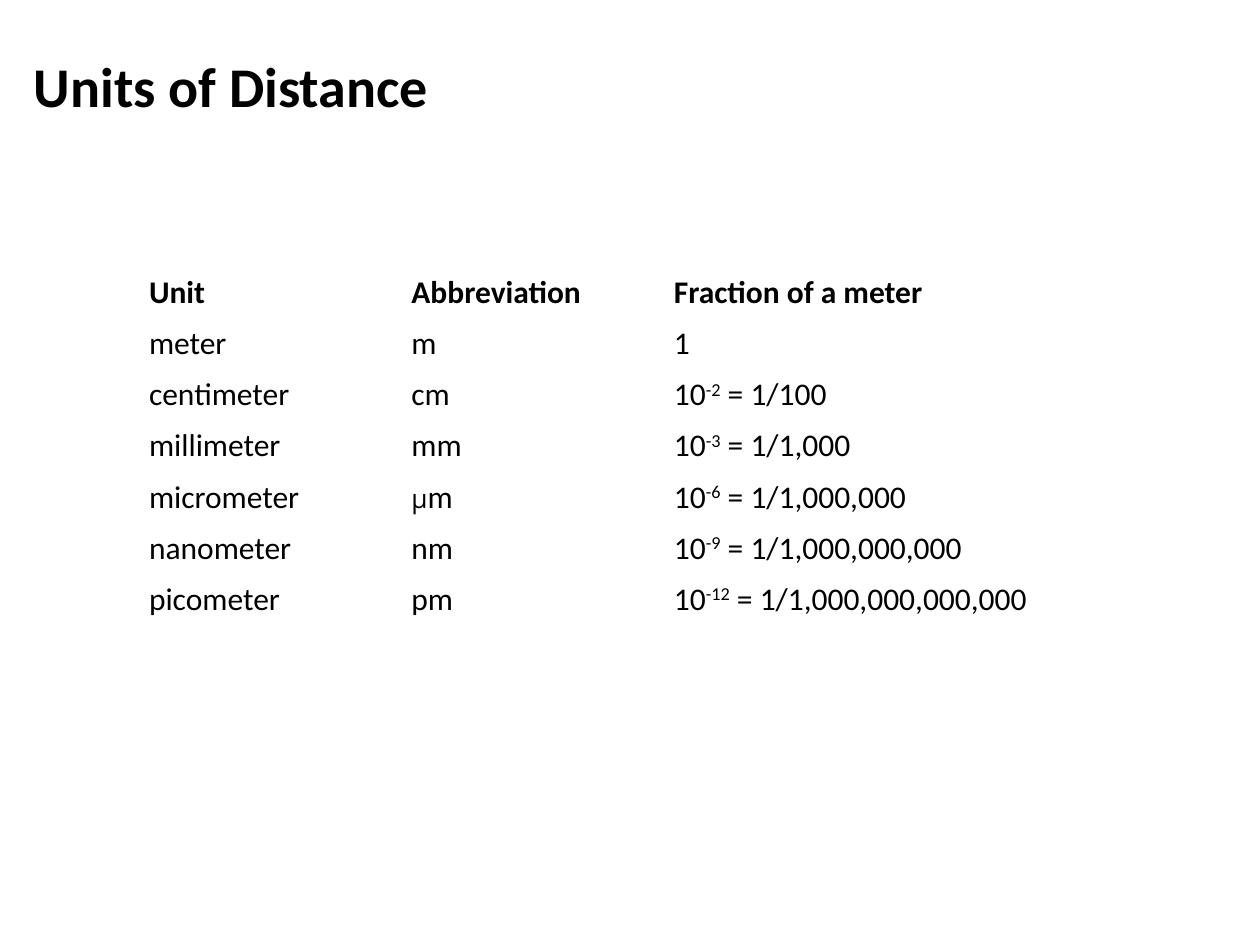
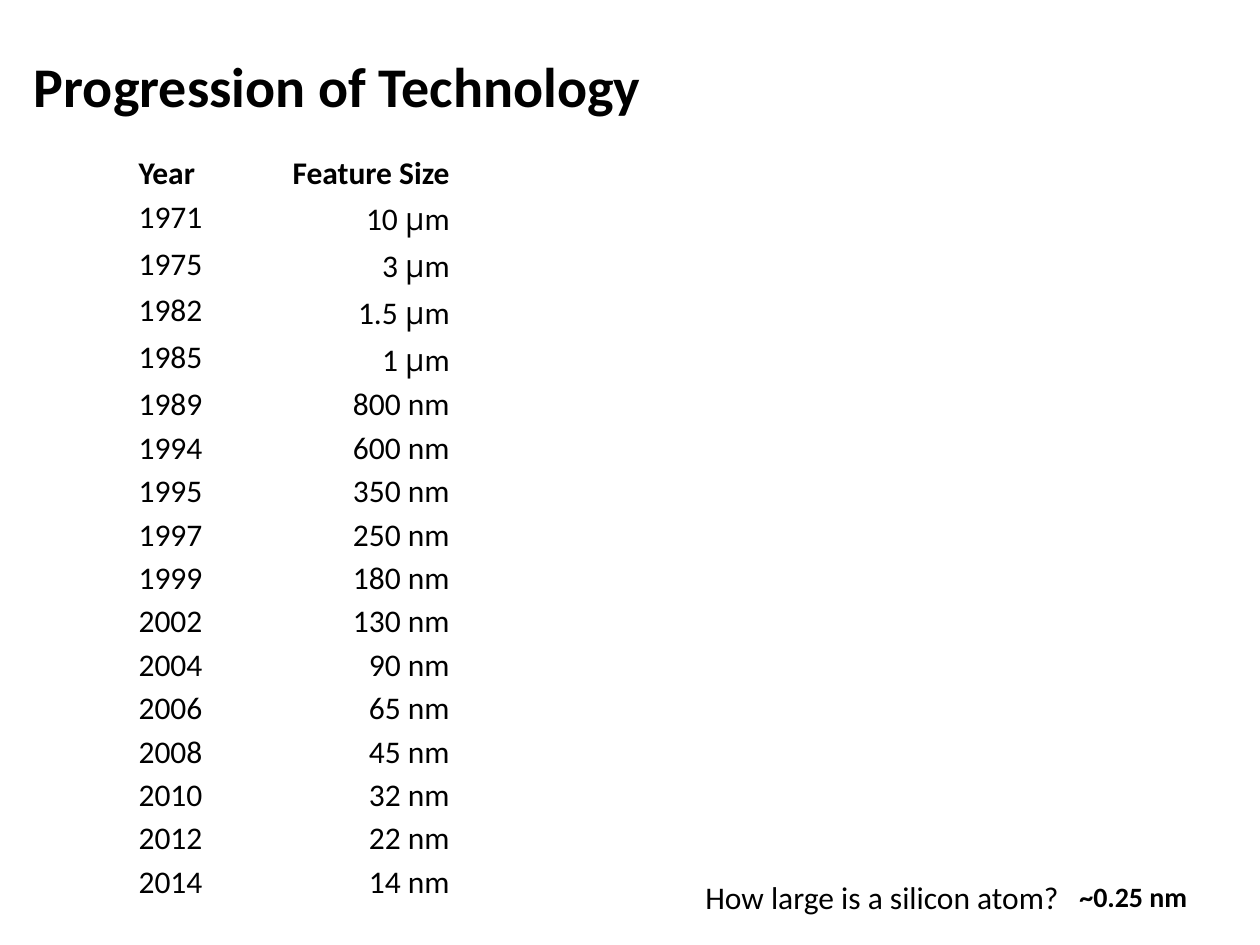
from lxml.etree import SubElement
from pptx import Presentation
from pptx.dml.color import RGBColor
from pptx.enum.text import MSO_ANCHOR, MSO_AUTO_SIZE, PP_ALIGN
from pptx.oxml.ns import qn
from pptx.util import Cm, Pt

COLORS = {"text": "000000", "paper": "FFFFFF"}
FONT, GREEK_FONT = "Calibri", "Open Sans"
MU = "μ"


class Deck:
    """Holds the shared style and the current slide."""

    def __init__(self):
        self.prs = Presentation()
        self.prs.slide_width, self.prs.slide_height = Cm(25.4), Cm(19.05)
        self.s = None

    def color(self, name):
        return RGBColor.from_string(COLORS[name])

    def style(self, r, size, bold=False, font=FONT):
        r.font.name, r.font.size, r.font.bold = font, Pt(size), bold
        r.font.color.rgb = self.color("text")

    def slide(self, title):
        self.s = self.prs.slides.add_slide(self.prs.slide_layouts[5])
        self.s.background.fill.solid()
        self.s.background.fill.fore_color.rgb = self.color("paper")
        sp = self.s.shapes.title
        sp.left, sp.top, sp.width, sp.height = Cm(0.43), Cm(0.3), Cm(24.13), Cm(2.84)
        tf = sp.text_frame
        tf.text = title
        tf.vertical_anchor = MSO_ANCHOR.MIDDLE
        tf.paragraphs[0].alignment = PP_ALIGN.LEFT
        self.style(tf.paragraphs[0].runs[0], 32, bold=True)

    def label(self, text, left, top, width, height, size, bold=False):
        sp = self.s.shapes.add_textbox(Cm(left), Cm(top), Cm(width), Cm(height))
        tf = sp.text_frame
        tf.text = text
        tf.word_wrap = False
        tf.auto_size = MSO_AUTO_SIZE.SHAPE_TO_FIT_TEXT
        self.style(tf.paragraphs[0].runs[0], size, bold)

    def borders(self, cell, outer):
        """White rules: thick on the table's outer edges, thin inside."""
        tc_pr = cell._tc.get_or_add_tcPr()
        for side in "LRTB":
            width = Pt(2.25 if side in outer else 1)
            ln = SubElement(tc_pr, qn(f"a:ln{side}"), w=str(width))
            fill = SubElement(ln, qn("a:solidFill"))
            SubElement(fill, qn("a:srgbClr"), val=COLORS["paper"])

    def write_cell(self, p, content, bold, mu_size):
        """Content is plain text, or a (base, exponent, rest) tuple."""
        if isinstance(content, tuple):
            parts, raised = content, 1
        else:
            parts, raised = content.partition(MU), None
        for i, part in enumerate(parts):
            if not part:
                continue
            r = p.add_run()
            r.text = part
            if part == MU:
                self.style(r, mu_size, bold, GREEK_FONT)
            else:
                self.style(r, 18, bold)
            if i == raised:
                r.font._element.set("baseline", "30000")

    def table(self, rows, left, top, widths, row_height, aligns, mu_size=18, spacing=None):
        last_row, last_col = len(rows) - 1, len(widths) - 1
        table = self.s.shapes.add_table(
            len(rows), len(widths), Cm(left), Cm(top),
            Cm(sum(widths)), Cm(row_height * len(rows))).table
        table.first_row = table.horz_banding = False
        for column, width in zip(table.columns, widths):
            column.width = Cm(width)
        for i, row in enumerate(rows):
            table.rows[i].height = Cm(row_height)
            for j, content in enumerate(row):
                cell = table.cell(i, j)
                edges = {"L": j == 0, "R": j == last_col, "T": i == 0, "B": i == last_row}
                self.borders(cell, [side for side, on in edges.items() if on])
                cell.fill.background()
                p = cell.text_frame.paragraphs[0]
                p.alignment, p.line_spacing = aligns[j], spacing
                self.write_cell(p, content, i == 0, mu_size)


def fraction(power):
    return "10", f"-{power}", f" = 1/{10 ** power:,}"


def main():
    deck = Deck()

    # Units of distance
    deck.slide("Units of Distance")
    units = [
        ("Unit", "Abbreviation", "Fraction of a meter"),
        ("meter", "m", "1"),
        ("centimeter", "cm", fraction(2)),
        ("millimeter", "mm", fraction(3)),
        ("micrometer", "μm", fraction(6)),
        ("nanometer", "nm", fraction(9)),
        ("picometer", "pm", fraction(12)),
    ]
    deck.table(units, 2.75, 5.39, (5.29, 5.29, 9.53), 1.02,
               [PP_ALIGN.LEFT] * 3, mu_size=15)

    # Feature size by year
    deck.slide("Progression of Technology")
    sizes = [
        ("Year", "Feature Size"),
        ("1971", "10 μm"), ("1975", "3 μm"), ("1982", "1.5 μm"), ("1985", "1 μm"),
        ("1989", "800 nm"), ("1994", "600 nm"), ("1995", "350 nm"), ("1997", "250 nm"),
        ("1999", "180 nm"), ("2002", "130 nm"), ("2004", "90 nm"), ("2006", "65 nm"),
        ("2008", "45 nm"), ("2010", "32 nm"), ("2012", "22 nm"), ("2014", "14 nm"),
    ]
    deck.table(sizes, 2.54, 3.1, (2.03, 4.75), 0.86,
               (PP_ALIGN.LEFT, PP_ALIGN.RIGHT), spacing=0.8)

    # Question and answer
    deck.label("~0.25 nm", 21.51, 17.6, 3.18, 0.94, 16, bold=True)
    deck.label("How large is a silicon atom?", 13.97, 17.58, 7.77, 1.02, 18)

    deck.prs.save("out.pptx")


if __name__ == "__main__":
    main()
